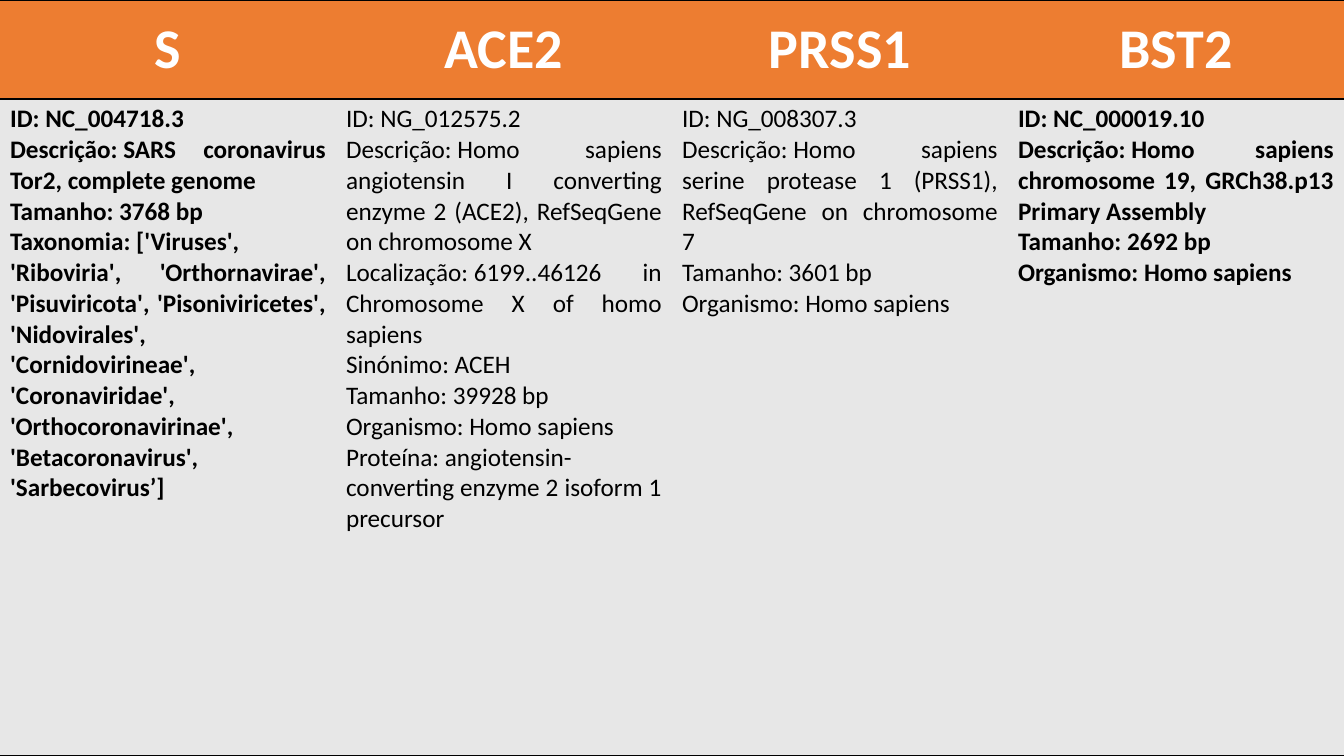
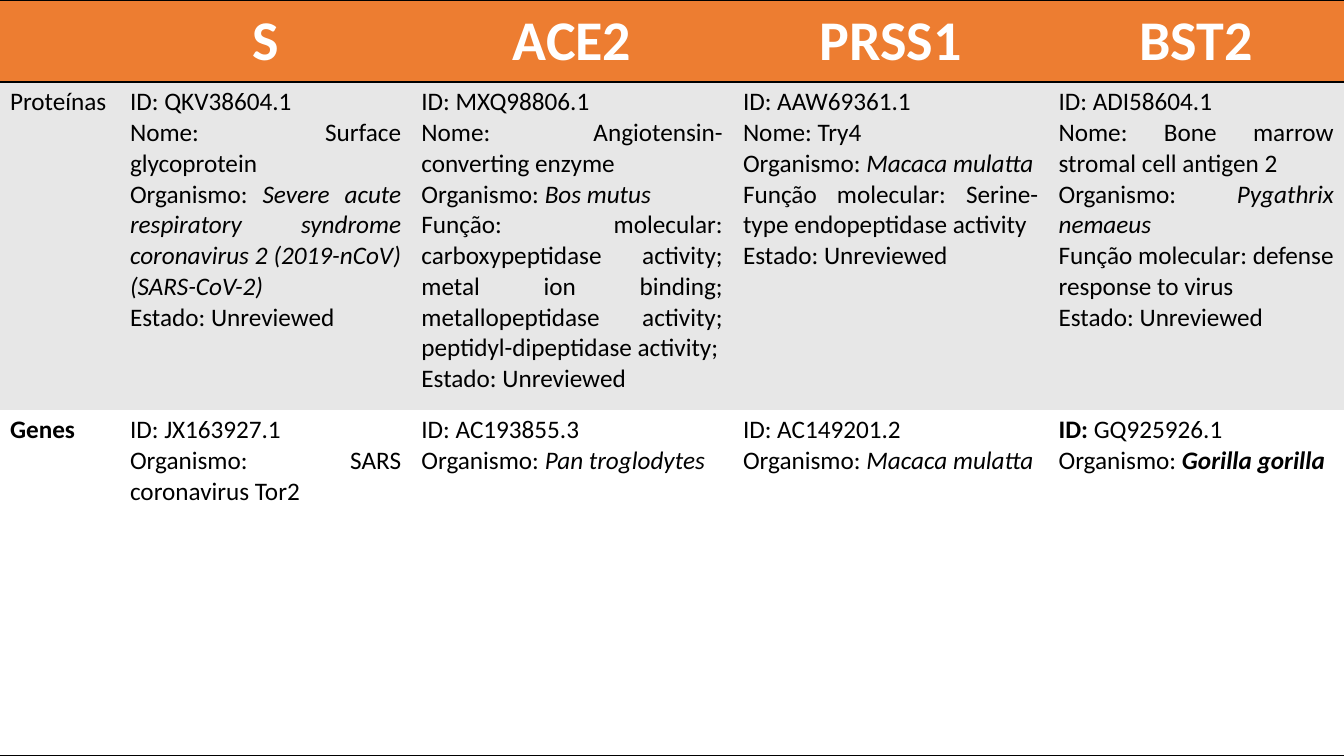
from dataclasses import dataclass
from typing import NamedTuple

from lxml.etree import SubElement
from pptx import Presentation
from pptx.dml.color import RGBColor
from pptx.enum.text import MSO_ANCHOR, PP_ALIGN
from pptx.oxml import parse_xml
from pptx.oxml.ns import nsdecls, qn
from pptx.util import Inches, Pt

WIDTH, HEIGHT = Inches(13.33), Inches(7.5)
FONT = "Calibri"
NO_BREAK_SPACE = chr(160)
RULE_WIDTH = Pt(2)
COLOURS = {
    "header": "ED7D31",
    "band": "E7E7E7",
    "plain": "FFFFFF",
    "title": "FFFFFF",
    "body": "000000",
    "rule": "000000",
}
ITALIC = {"italic": True}
BOLD = {"bold": True}


class Span(NamedTuple):
    text: str
    style: dict = {}


@dataclass
class CellStyle:
    size: float
    colour: str
    align: PP_ALIGN
    anchor: MSO_ANCHOR
    bold: bool = False


@dataclass
class Row:
    cells: list
    share: float
    fill: str
    style: CellStyle
    rules: str


TITLE = CellStyle(40, "title", PP_ALIGN.CENTER, MSO_ANCHOR.MIDDLE, True)
BODY = CellStyle(18, "body", PP_ALIGN.JUSTIFY, MSO_ANCHOR.TOP)


def fact(label: str, value: str, label_style: dict = {}, value_style: dict = {}) -> list[Span]:
    return [Span(f"{label}: ", label_style), Span(value, value_style)]


def record(style: dict, **facts: str) -> list[list[Span]]:
    """One paragraph a fact, its label held to the value by a no-break space."""
    return [[Span(f"{label}:{NO_BREAK_SPACE}{value}", style)] for label, value in facts.items()]


def label_cell(text: str, style: dict = {}) -> list[list[Span]]:
    return [[Span(text, style)]]


def header_row(titles: list[str], share: float) -> Row:
    return Row([label_cell(title) for title in titles], share, "header", TITLE, "TB")


def add_rules(cell, sides: str) -> None:
    """Rule the given sides (of L, R, T, B) and clear the others."""
    properties = cell._tc.get_or_add_tcPr()
    for position, side in enumerate("LRTB"):
        line = parse_xml(f'<a:ln{side} {nsdecls("a")}/>')
        if side in sides:
            line.set("w", str(RULE_WIDTH))
            solid = SubElement(line, qn("a:solidFill"))
            SubElement(solid, qn("a:srgbClr")).set("val", COLOURS["rule"])
        else:
            SubElement(line, qn("a:noFill"))
        properties.insert(position, line)


def write_cell(cell, paragraphs: list[list[Span]], style: CellStyle) -> None:
    cell.vertical_anchor = style.anchor
    for index, spans in enumerate(paragraphs):
        frame = cell.text_frame
        para = frame.add_paragraph() if index else frame.paragraphs[0]
        para.alignment = style.align
        for span in spans:
            run = para.add_run()
            run.text = span.text
            run.font.color.rgb = RGBColor.from_string(COLOURS[style.colour])
            values = {"name": FONT, "size": Pt(style.size), "bold": style.bold, **span.style}
            for name, value in values.items():
                setattr(run.font, name, value)


def add_table_slide(deck, column_shares: list[float], rows: list[Row]) -> None:
    page = deck.slides.add_slide(deck.slide_layouts[6])
    table = page.shapes.add_table(
        len(rows), len(column_shares), 0, 0, WIDTH, HEIGHT
    ).table
    for column, share in zip(table.columns, column_shares):
        column.width = int(WIDTH * share / sum(column_shares))
    total = sum(row.share for row in rows)
    for row_index, row in enumerate(rows):
        table.rows[row_index].height = int(HEIGHT * row.share / total)
        for column_index, paragraphs in enumerate(row.cells):
            cell = table.cell(row_index, column_index)
            cell.fill.solid()
            cell.fill.fore_color.rgb = RGBColor.from_string(COLOURS[row.fill])
            add_rules(cell, row.rules)
            write_cell(cell, paragraphs, row.style)


GENES = ["S", "ACE2", "PRSS1", "BST2"]
UNREVIEWED = fact("Estado", "Unreviewed")

SEQUENCES = [
    record(
        BOLD,
        ID="NC_004718.3",
        Descrição="SARS coronavirus Tor2, complete genome",
        Tamanho="3768 bp",
        Taxonomia="['Viruses', 'Riboviria', 'Orthornavirae', 'Pisuviricota', "
        "'Pisoniviricetes', 'Nidovirales', 'Cornidovirineae', 'Coronaviridae', "
        "'Orthocoronavirinae', 'Betacoronavirus', 'Sarbecovirus’]",
    ),
    record(
        {},
        ID="NG_012575.2",
        Descrição="Homo sapiens angiotensin I converting enzyme 2 (ACE2), "
        "RefSeqGene on chromosome X",
        Localização="6199..46126 in Chromosome X of homo sapiens",
        Sinónimo="ACEH",
        Tamanho="39928 bp",
        Organismo="Homo sapiens",
        Proteína="angiotensin-converting enzyme 2 isoform 1 precursor",
    ),
    record(
        {},
        ID="NG_008307.3",
        Descrição="Homo sapiens serine protease 1 (PRSS1), RefSeqGene on chromosome 7",
        Tamanho="3601 bp",
        Organismo="Homo sapiens",
    ),
    record(
        BOLD,
        ID="NC_000019.10",
        Descrição="Homo sapiens chromosome 19, GRCh38.p13 Primary Assembly",
        Tamanho="2692 bp",
        Organismo="Homo sapiens",
    ),
]

PROTEINS = [
    label_cell("Proteínas"),
    [
        fact("ID", "QKV38604.1"),
        fact("Nome", "Surface glycoprotein"),
        fact(
            "Organismo",
            "Severe acute respiratory syndrome coronavirus 2 (2019-nCoV) (SARS-CoV-2)",
            value_style=ITALIC,
        ),
        UNREVIEWED,
    ],
    [
        fact("ID", "MXQ98806.1"),
        fact("Nome", "Angiotensin-converting enzyme"),
        fact("Organismo", "Bos mutus", value_style=ITALIC),
        fact(
            "Função: molecular",
            "carboxypeptidase activity; metal ion binding; metallopeptidase activity; "
            "peptidyl-dipeptidase activity;",
        ),
        UNREVIEWED,
    ],
    [
        fact("ID", "AAW69361.1"),
        fact("Nome", "Try4"),
        fact("Organismo", "Macaca mulatta", value_style=ITALIC),
        fact("Função molecular", "Serine-type endopeptidase activity"),
        UNREVIEWED,
    ],
    [
        fact("ID", "ADI58604.1"),
        fact("Nome", "Bone marrow stromal cell antigen 2"),
        fact("Organismo", "Pygathrix nemaeus", value_style=ITALIC),
        fact("Função molecular", "defense response to virus"),
        UNREVIEWED,
    ],
]

GENE_MATCHES = [
    label_cell("Genes", BOLD),
    [fact("ID", "JX163927.1"), fact("Organismo", "SARS coronavirus Tor2")],
    [fact("ID", "AC193855.3"), fact("Organismo", "Pan troglodytes", value_style=ITALIC)],
    [fact("ID", "AC149201.2"), fact("Organismo", "Macaca mulatta", value_style=ITALIC)],
    [
        fact("ID", "GQ925926.1", label_style=BOLD),
        fact("Organismo", "Gorilla gorilla", value_style=BOLD | ITALIC),
    ],
]


def main() -> None:
    deck = Presentation()
    deck.slide_width, deck.slide_height = WIDTH, HEIGHT
    add_table_slide(
        deck,
        [1] * len(GENES),
        [header_row(GENES, 0.98), Row(SEQUENCES, 6.52, "band", BODY, "TB")],
    )
    add_table_slide(
        deck,
        [1.19, 2.89, 3.19, 3.13, 2.93],
        [
            header_row(["", *GENES], 0.81),
            Row(PROTEINS, 3.25, "band", BODY, "T"),
            Row(GENE_MATCHES, 3.43, "plain", BODY, "B"),
        ],
    )
    deck.save("out.pptx")


if __name__ == "__main__":
    main()
